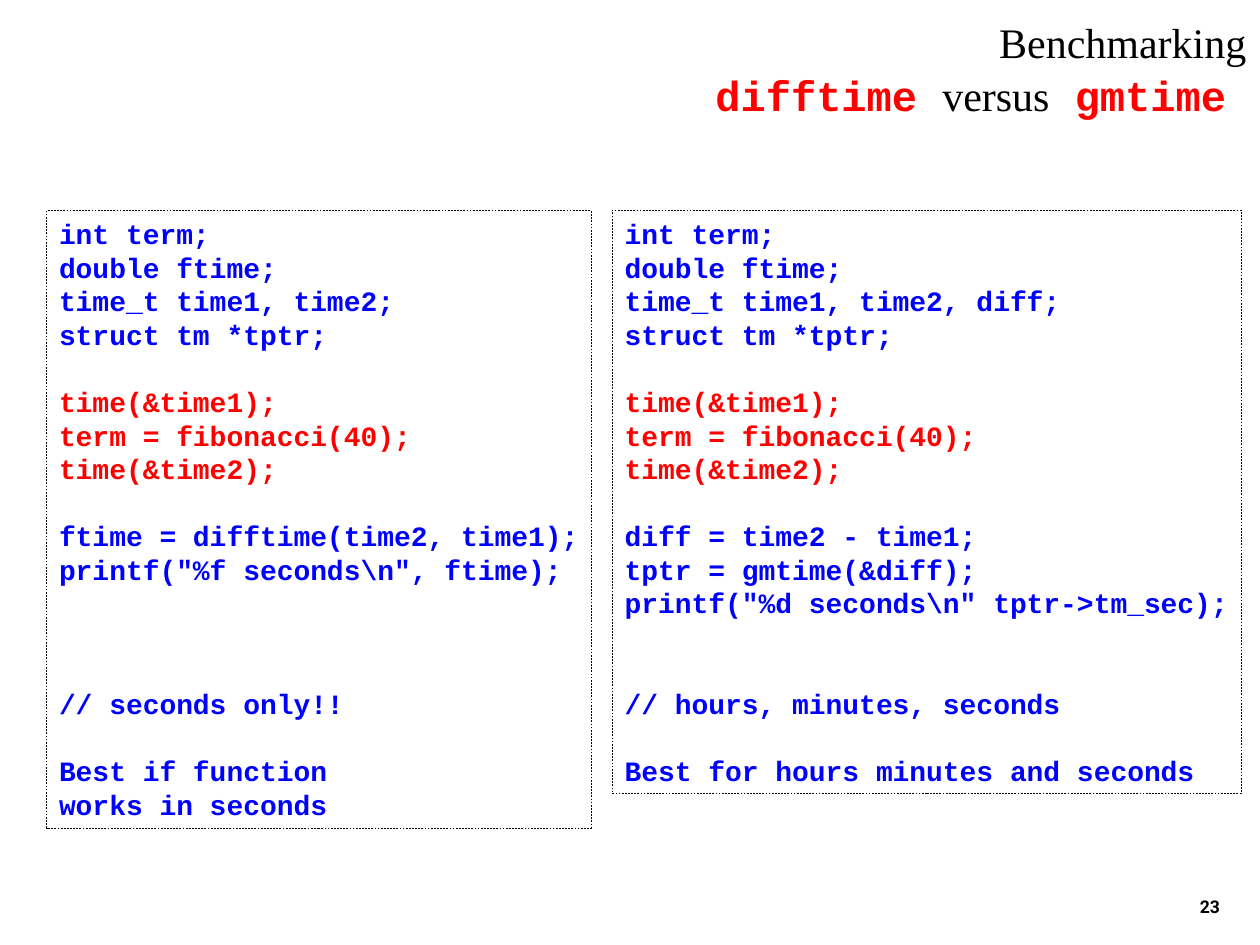
from dataclasses import dataclass

from pptx import Presentation
from pptx.dml.color import RGBColor
from pptx.enum.dml import MSO_LINE
from pptx.enum.shapes import MSO_SHAPE as Shape
from pptx.enum.text import MSO_ANCHOR as Anchor, PP_ALIGN as Align
from pptx.util import Inches, Pt


@dataclass(frozen=True)
class Theme:
    black: str = "000000"
    blue: str = "0000FF"
    red: str = "FF0000"
    serif: str = "Times New Roman"
    mono: str = "Courier New"
    sans: str = "Roboto"
    head: int = 24
    code: int = 16
    note: int = 10
    pitch: float = 19.2


T = Theme()
PLAIN = {"name": T.serif, "size": Pt(T.head), "bold": False, "color": T.black}
NAME = {"name": T.mono, "size": Pt(T.head), "bold": True, "color": T.red}
CODE = {"name": T.mono, "size": Pt(T.code), "bold": True, "color": T.blue}
TIMED = {**CODE, "color": T.red}
PAGE = {"name": T.sans, "size": Pt(T.note), "bold": True, "color": T.black}

DECLS = ["int term;", "double ftime;"]
TIMING = ["time(&time1);", "term = fibonacci(40);", "time(&time2);"]

# Each block: blank lines above it, its style, its lines
SECONDS = [
    (0, CODE, [*DECLS, "time_t time1, time2;", "struct tm *tptr;"]),
    (1, TIMED, TIMING),
    (1, CODE, ["ftime = difftime(time2, time1);",
               'printf("%f seconds\\n", ftime);']),
    (3, CODE, ["// seconds only!!"]),
    (1, CODE, ["Best if function", "works in seconds"]),
]
HOURS = [
    (0, CODE, [*DECLS, "time_t time1, time2, diff;", "struct tm *tptr;"]),
    (1, TIMED, TIMING),
    (1, CODE, ["diff = time2 - time1;", "tptr = gmtime(&diff);",
               'printf("%d seconds\\n" tptr->tm_sec);']),
    (2, CODE, ["// hours, minutes, seconds"]),
    (1, CODE, ["Best for hours minutes and seconds"]),
]


def place(shape, box):
    for key, val in zip(("left", "top", "width", "height"), box):
        setattr(shape, key, Inches(val))


def set_frame(frame, wrap=False, anchor=Anchor.TOP, right=0.1):
    form = {
        "word_wrap": wrap, "vertical_anchor": anchor,
        "margin_left": Inches(0.1), "margin_right": Inches(right),
        "margin_top": Inches(0.05), "margin_bottom": Inches(0.05),
    }
    for key, val in form.items():
        setattr(frame, key, val)


def add_run(para, text, style):
    run = para.add_run()
    run.text = text
    for key, val in style.items():
        if key == "color":
            run.font.color.rgb = RGBColor.from_string(val)
        else:
            setattr(run.font, key, val)


def add_title(slide, box, text):
    """Fill the title, with no right margin so that it stays on one line."""
    title = slide.shapes.title
    place(title, box)
    set_frame(title.text_frame, right=0)
    para = title.text_frame.paragraphs[0]
    para.alignment = Align.LEFT
    add_run(para, text, PLAIN)


def add_label(slide, box, runs, align=Align.LEFT, anchor=Anchor.TOP):
    label = slide.shapes.add_textbox(*map(Inches, box))
    set_frame(label.text_frame, True, anchor)
    para = label.text_frame.paragraphs[0]
    para.alignment = align
    for text, style in runs:
        add_run(para, text, style)


def add_code(slide, box, blocks):
    """Draw a dashed panel of code, with gaps of whole lines between blocks."""
    panel = slide.shapes.add_shape(Shape.RECTANGLE, *map(Inches, box))
    panel.shadow.inherit = False
    panel.fill.background()
    panel.line.color.rgb = RGBColor.from_string(T.black)
    panel.line.width = Pt(0.25)
    panel.line.dash_style = MSO_LINE.DASH
    frame = panel.text_frame
    set_frame(frame)
    para = None
    for gap, style, lines in blocks:
        for row, text in enumerate(lines):
            para = frame.add_paragraph() if para else frame.paragraphs[0]
            para.alignment = Align.LEFT
            para.line_spacing = Pt(T.pitch)
            if gap and row == 0:
                para.space_before = Pt(gap * T.pitch)
            add_run(para, text, style)


def main():
    deck = Presentation()
    deck.slide_width, deck.slide_height = Inches(10), Inches(7.5)
    slide = deck.slides.add_slide(deck.slide_layouts[5])
    add_title(slide, (7.83, 0.08, 2.16, 0.5), "Benchmarking")
    add_label(slide, (5.58, 0.5, 4.33, 0.5),
              [("difftime ", NAME), ("versus", PLAIN), (" gmtime", NAME)])
    add_code(slide, (0.37, 1.67, 4.32, 4.9), SECONDS)
    add_code(slide, (4.86, 1.67, 4.99, 4.63), HOURS)
    add_label(slide, (7.7, 6.83, 2.08, 0.5), [("23", PAGE)],
              Align.RIGHT, Anchor.BOTTOM)
    deck.save("out.pptx")


if __name__ == "__main__":
    main()
